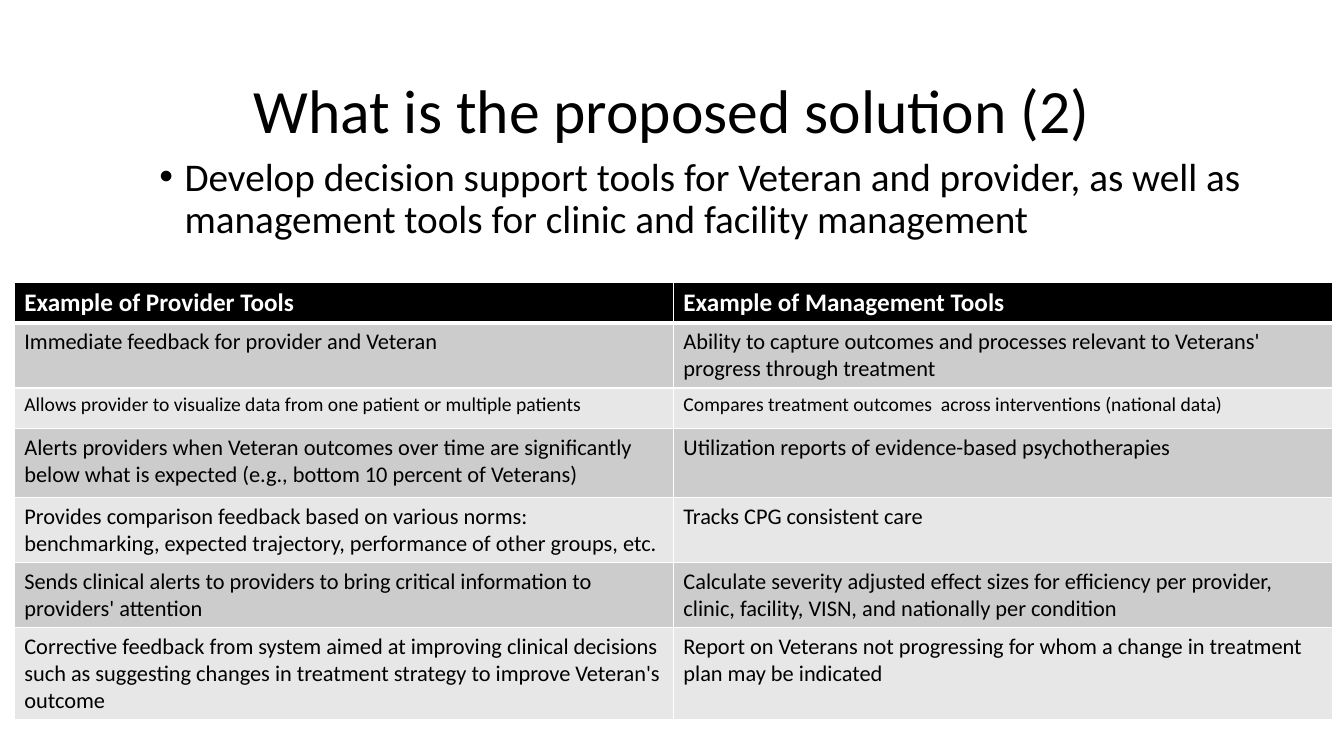
"""Build the slide on proposed decision support and management tools."""
from dataclasses import dataclass

from lxml import etree
from pptx import Presentation
from pptx.dml.color import RGBColor
from pptx.enum.text import MSO_ANCHOR, MSO_AUTO_SIZE, PP_ALIGN
from pptx.oxml.ns import qn
from pptx.util import Cm, Pt

TOP, MIDDLE = MSO_ANCHOR.TOP, MSO_ANCHOR.MIDDLE
LEFT, CENTER = PP_ALIGN.LEFT, PP_ALIGN.CENTER
NO_AUTOFIT = MSO_AUTO_SIZE.NONE
TITLE_AND_CONTENT = 1


@dataclass(frozen=True)
class Theme:
    font: str = "Calibri"
    text: str = "000000"
    header_text: str = "FFFFFF"
    header_fill: str = "000000"
    border: str = "FFFFFF"
    bands: tuple = ("CCCCCC", "E7E7E7")
    title_size: int = 44
    body_size: int = 28
    header_size: int = 18
    cell_size: int = 16
    small_size: int = 14
    thin_line: int = 1
    thick_line: int = 3


TITLE = "What is the proposed solution (2)"
BULLET = ("Develop decision support tools for Veteran and provider, as well as "
          "management tools for clinic and facility management")
HEADERS = ("Example of Provider Tools", "Example of Management Tools")
TOOLS = (
    ("Immediate feedback for provider and Veteran",
     "Ability to capture outcomes and processes relevant to Veterans' "
     "progress through treatment"),
    ("Allows provider to visualize data from one patient or multiple patients",
     "Compares treatment outcomes  across interventions (national data)"),
    ("Alerts providers when Veteran outcomes over time are significantly below "
     "what is expected (e.g., bottom 10 percent of Veterans)",
     "Utilization reports of evidence-based psychotherapies"),
    ("Provides comparison feedback based on various norms: benchmarking, "
     "expected trajectory, performance of other groups, etc.",
     "Tracks CPG consistent care"),
    ("Sends clinical alerts to providers to bring critical information to "
     "providers' attention",
     "Calculate severity adjusted effect sizes for efficiency per provider, "
     "clinic, facility, VISN, and nationally per condition"),
    ("Corrective feedback from system aimed at improving clinical decisions "
     "such as suggesting changes in treatment strategy to improve Veteran's outcome",
     "Report on Veterans not progressing for whom a change in treatment plan "
     "may be indicated"),
)
SMALL_ROW = 2
ROW_HEIGHTS = (1.03, 1.63, 1.03, 1.74, 1.63, 1.63, 2.32)


def apply_format(target, values):
    for name, value in values.items():
        setattr(target, name, value)


class SlideBuilder:
    def __init__(self, presentation, theme):
        self.theme = theme
        layout = presentation.slide_layouts[TITLE_AND_CONTENT]
        self.slide = presentation.slides.add_slide(layout)

    def set_text(self, frame, text, size, color, bold=False, **paragraph_format):
        frame.text = text
        paragraph = frame.paragraphs[0]
        apply_format(paragraph, paragraph_format)
        font = paragraph.runs[0].font
        apply_format(font, {"name": self.theme.font, "size": Pt(size), "bold": bold})
        font.color.rgb = RGBColor.from_string(color)
        return paragraph

    def fill_placeholder(self, shape, box, text, size, anchor, **paragraph_format):
        places = ("left", "top", "width", "height")
        apply_format(shape, dict(zip(places, map(Cm, box))))
        apply_format(shape.text_frame, {"word_wrap": True, "auto_size": NO_AUTOFIT,
                                        "vertical_anchor": anchor})
        return self.set_text(shape.text_frame, text, size, self.theme.text,
                             line_spacing=0.9, **paragraph_format)

    def title(self, text, box):
        self.fill_placeholder(self.slide.shapes.title, box, text,
                              self.theme.title_size, MIDDLE, alignment=CENTER)

    def bullet(self, text, box, indent):
        paragraph = self.fill_placeholder(
            self.slide.placeholders[1], box, text, self.theme.body_size, TOP,
            alignment=LEFT, space_before=Pt(10))
        properties = paragraph._p.get_or_add_pPr()
        properties.set("marL", str(Cm(indent)))
        properties.set("indent", str(-Cm(indent)))

    def borders(self, cell, bottom_width):
        properties = cell._tc.get_or_add_tcPr()
        widths = {"a:lnL": self.theme.thin_line, "a:lnR": self.theme.thin_line,
                  "a:lnT": self.theme.thin_line, "a:lnB": bottom_width}
        for position, (tag, width) in enumerate(widths.items()):
            line = etree.Element(qn(tag), w=str(Pt(width)))
            fill = etree.SubElement(line, qn("a:solidFill"))
            etree.SubElement(fill, qn("a:srgbClr"), val=self.theme.border)
            properties.insert(position, line)

    def cell(self, cell, text, fill, size, color, bold, bottom_width):
        self.set_text(cell.text_frame, text, size, color, bold, alignment=LEFT)
        cell.vertical_anchor = TOP
        cell.fill.solid()
        cell.fill.fore_color.rgb = RGBColor.from_string(fill)
        self.borders(cell, bottom_width)

    def table(self, rows, left, top, width, heights):
        theme = self.theme
        table = self.slide.shapes.add_table(
            len(rows), len(rows[0]), Cm(left), Cm(top), Cm(width),
            Cm(sum(heights))).table
        for index, (texts, height) in enumerate(zip(rows, heights)):
            table.rows[index].height = Cm(height)
            if index == 0:
                style = (theme.header_fill, theme.header_size, theme.header_text,
                         True, theme.thick_line)
            else:
                size = theme.small_size if index == SMALL_ROW else theme.cell_size
                band = theme.bands[(index - 1) % len(theme.bands)]
                style = (band, size, theme.text, False, theme.thin_line)
            for column, text in enumerate(texts):
                self.cell(table.cell(index, column), text, *style)


def main():
    presentation = Presentation()
    apply_format(presentation, {"slide_width": Cm(33.87), "slide_height": Cm(19.05)})
    builder = SlideBuilder(presentation, Theme())
    builder.title(TITLE, (2.33, 1.01, 29.21, 3.68))
    builder.bullet(BULLET, (3.76, 3.84, 29.21, 12.83), 0.64)
    builder.table((HEADERS, *TOOLS), 0.36, 7.11, 33.22, ROW_HEIGHTS)
    presentation.save("out.pptx")


if __name__ == "__main__":
    main()
